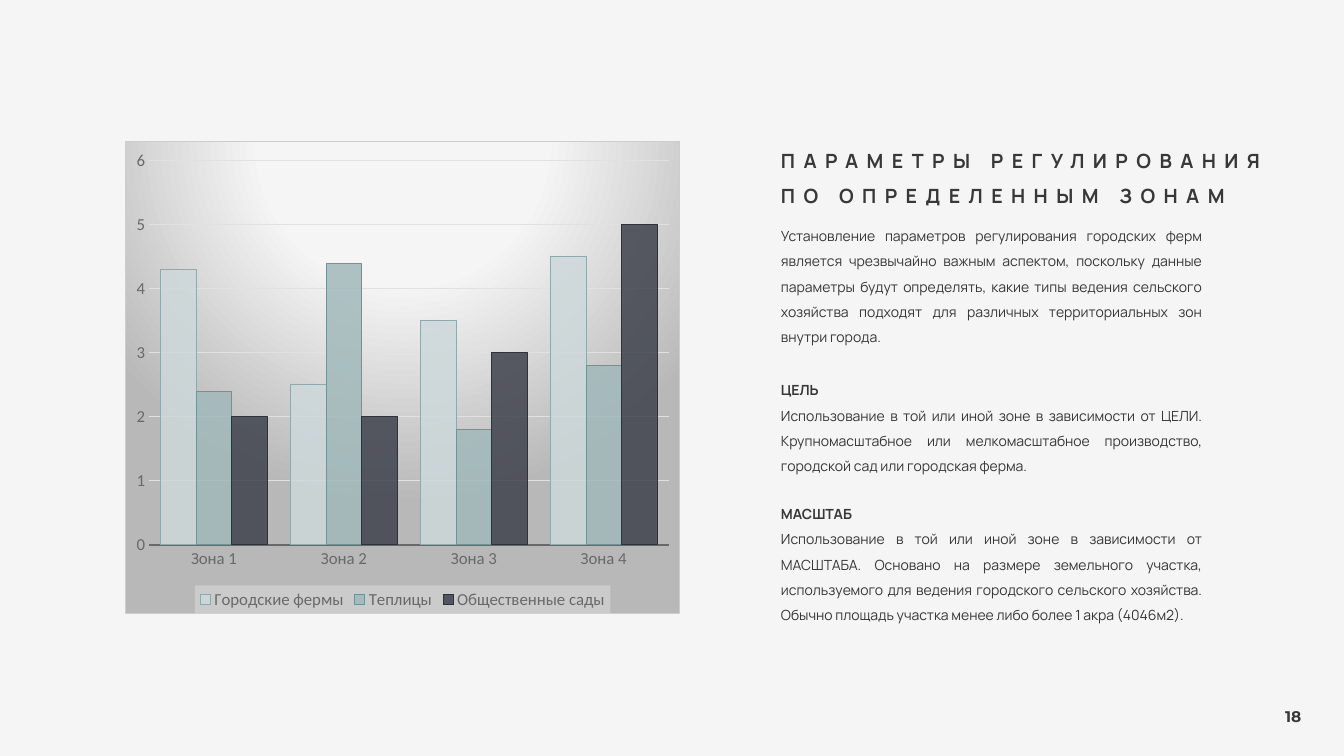
import pptx
import pptx.util
import pptx.oxml
import pptx.dml.color
import pptx.chart.data
import pptx.enum.chart
import pptx.enum.text

Pt = pptx.util.Pt
ALIGN = pptx.enum.text.PP_ALIGN
ANCHOR = pptx.enum.text.MSO_ANCHOR
CHART = pptx.enum.chart

COLORS = {
    "page": "F5F5F5", "ink": "38383A", "label": "69696C", "grid": "E1E1E2",
    "shade": "B8B8B8", "edge": "CDCDCE", "key": "E9E9E9",
    "farm": "CDD8DA", "farm_edge": "90A9AD",
    "glass": "A1B9BB", "glass_edge": "6F9396",
    "yard": "3E424C", "yard_edge": "2E3239",
}
ZONES = ["Зона 1", "Зона 2", "Зона 3", "Зона 4"]
SERIES = [
    ("Городские фермы", (4.3, 2.5, 3.5, 4.5), "farm"),
    ("Теплицы", (2.4, 4.4, 1.8, 2.8), "glass"),
    ("Общественные сады", (2, 2, 3, 5), "yard"),
]
FRAME = (89.28, 100.8, 396.72, 337.68)
LEFT, WIDE = 550.8, 314.64
HEAD = {"name": "Manrope", "size": Pt(14), "bold": True}
BOLD = {"name": "Manrope", "size": Pt(10), "bold": True}
BODY = {"name": "Manrope", "size": Pt(10), "bold": False}
PAGE = {"name": "Montserrat", "size": Pt(11), "bold": True}
CELL = {"name": "Calibri", "size": Pt(10)}
LABEL = {"name": "Calibri", "size": Pt(12)}
FLUSH = {"line_spacing": 1.5, "alignment": ALIGN.LEFT}
BLOCK = {"line_spacing": 1.5, "alignment": ALIGN.JUSTIFY}
MIDDLE = {"word_wrap": True, "vertical_anchor": ANCHOR.MIDDLE}
BOTTOM = {"word_wrap": True, "vertical_anchor": ANCHOR.BOTTOM}
LOOSE = {"word_wrap": False, "vertical_anchor": ANCHOR.TOP}
TEXTS = [
    ((LEFT, 93.6, 386.64, 58.32), BOTTOM, FLUSH, 600, [
        ("ПАРАМЕТРЫ РЕГУЛИРОВАНИЯ ПО ОПРЕДЕЛЕННЫМ ЗОНАМ", HEAD)]),
    ((LEFT, 162.72, WIDE, 77.76), MIDDLE, BLOCK, 0, [
        ("Установление параметров регулирования городских ферм является "
         "чрезвычайно важным аспектом, поскольку данные параметры будут "
         "определять, какие типы ведения сельского хозяйства подходят для "
         "различных территориальных зон внутри города.", BODY)]),
    ((LEFT, 262.8, WIDE, 79.92), MIDDLE, BLOCK, 0, [
        ("ЦЕЛЬ", BOLD),
        ("Использование в той или иной зоне в зависимости от ЦЕЛИ. "
         "Крупномасштабное или мелкомасштабное производство, городской сад "
         "или городская ферма.", BODY)]),
    ((LEFT, 351.36, WIDE, 97.92), MIDDLE, BLOCK, 0, [
        ("МАСШТАБ", BOLD),
        ("Использование в той или иной зоне в зависимости от МАСШТАБА. "
         "Основано на размере земельного участка, используемого для ведения "
         "городского сельского хозяйства. Обычно площадь участка менее либо "
         "более 1 акра (4046м2).", BODY)]),
    ((910.8, 501.84, 29.52, 20.88), LOOSE, {}, 0, [("18", PAGE)]),
]
SPACE = ('xmlns:c="http://schemas.openxmlformats.org/drawingml/2006/chart" '
         'xmlns:a="http://schemas.openxmlformats.org/drawingml/2006/main"')


def put(item, values):
    for name, value in values.items():
        setattr(item, name, value)


def tone(key):
    return pptx.dml.color.RGBColor.from_string(COLORS[key])


def style(font, values, key):
    put(font, values)
    font.color.rgb = tone(key)


def paint(fill, key):
    fill.solid()
    fill.fore_color.rgb = tone(key)


def stroke(line, key, width):
    paint(line.fill, key)
    line.width = Pt(width)


def look(inner):
    return pptx.oxml.parse_xml(f"<c:spPr {SPACE}>{inner}</c:spPr>")


def write(slide, place, frame, para, gap, lines):
    box = slide.shapes.add_textbox(*map(Pt, place))
    text = box.text_frame
    put(text, frame)
    for i, (words, font) in enumerate(lines):
        item = text.paragraphs[0] if i == 0 else text.add_paragraph()
        put(item, para)
        run = item.add_run()
        run.text = words
        style(run.font, font, "ink")
    if gap:
        for node in box.element.xpath(".//a:rPr"):
            node.set("spc", str(gap))


def draw(slide):
    data = pptx.chart.data.CategoryChartData()
    data.categories = ZONES
    for name, values, key in SERIES:
        data.add_series(name, values)
    chart = slide.shapes.add_chart(
        CHART.XL_CHART_TYPE.COLUMN_CLUSTERED, *map(Pt, FRAME), data).chart
    put(chart, {"has_title": False, "has_legend": True})
    style(chart.font, CELL, "ink")
    put(chart.legend, {"position": CHART.XL_LEGEND_POSITION.BOTTOM,
                       "include_in_layout": False})
    plot = chart.plots[0]
    put(plot, {"gap_width": 65, "overlap": 0, "vary_by_categories": False})
    for bars, (name, values, key) in zip(plot.series, SERIES):
        paint(bars.format.fill, key)
        stroke(bars.format.line, key + "_edge", 0.75)
    for node in chart.element.xpath(".//c:ser/c:spPr/a:solidFill/a:srgbClr"):
        node.append(pptx.oxml.parse_xml(f'<a:alpha {SPACE} val="85000"/>'))
    base, scale = chart.category_axis, chart.value_axis
    for axis in (base, scale):
        put(axis, {"major_tick_mark": CHART.XL_TICK_MARK.NONE,
                   "minor_tick_mark": CHART.XL_TICK_MARK.NONE})
        style(axis.tick_labels.font, LABEL, "label")
    stroke(base.format.line, "label", 1.5)
    put(scale, {"minimum_scale": 0, "maximum_scale": 6, "major_unit": 1,
                "has_major_gridlines": True})
    scale.format.line.fill.background()
    stroke(scale.major_gridlines.format.line, "grid", 0.75)
    style(chart.legend.font, LABEL, "label")
    chart.element.xpath("./c:legend/c:txPr|.//c:legend/c:txPr")[0].addprevious(
        look(f'<a:solidFill><a:srgbClr val="{COLORS["key"]}">'
             '<a:alpha val="39000"/></a:srgbClr></a:solidFill>'))
    stops = "".join(
        f'<a:gs pos="{spot * 1000}"><a:srgbClr val="{COLORS[key]}"/></a:gs>'
        for spot, key in ((0, "page"), (39, "page"), (100, "shade")))
    chart.element.xpath("./c:chart")[0].addnext(look(
        f'<a:gradFill><a:gsLst>{stops}</a:gsLst><a:path path="circle">'
        '<a:fillToRect l="50000" t="-80000" r="50000" b="180000"/></a:path>'
        f'</a:gradFill><a:ln w="{Pt(0.75)}"><a:solidFill>'
        f'<a:srgbClr val="{COLORS["edge"]}"/></a:solidFill></a:ln>'))


def main():
    deck = pptx.Presentation()
    put(deck, {"slide_width": Pt(960), "slide_height": Pt(540)})
    slide = deck.slides.add_slide(deck.slide_layouts[6])
    paint(slide.background.fill, "page")
    draw(slide)
    for text in TEXTS:
        write(slide, *text)
    deck.save("out.pptx")


if __name__ == "__main__":
    main()
